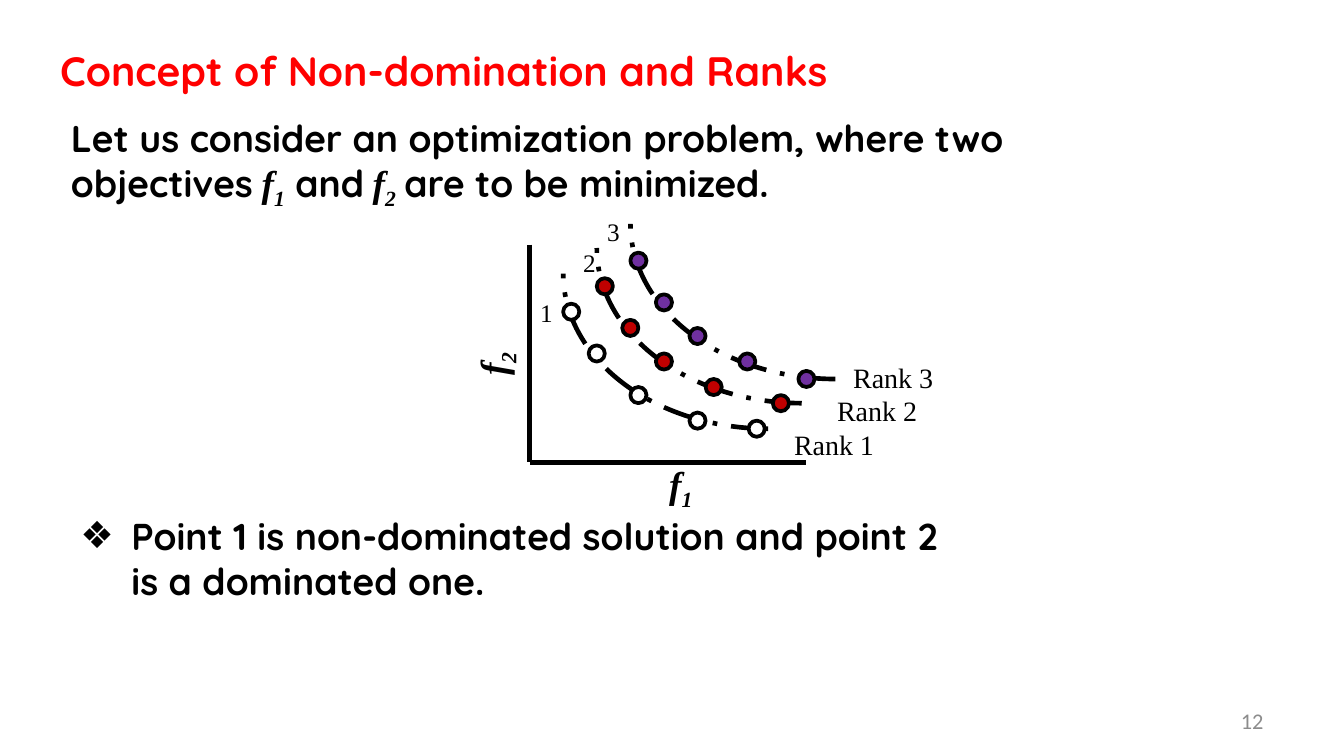
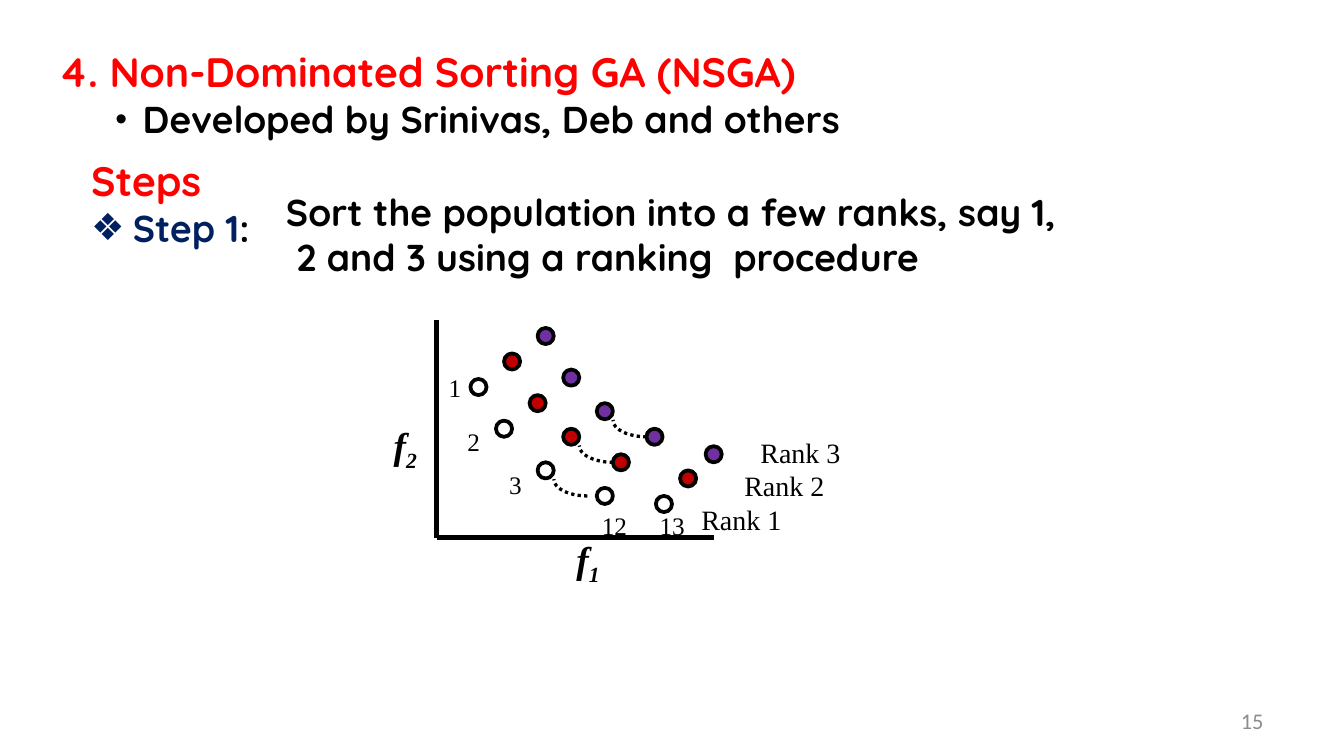
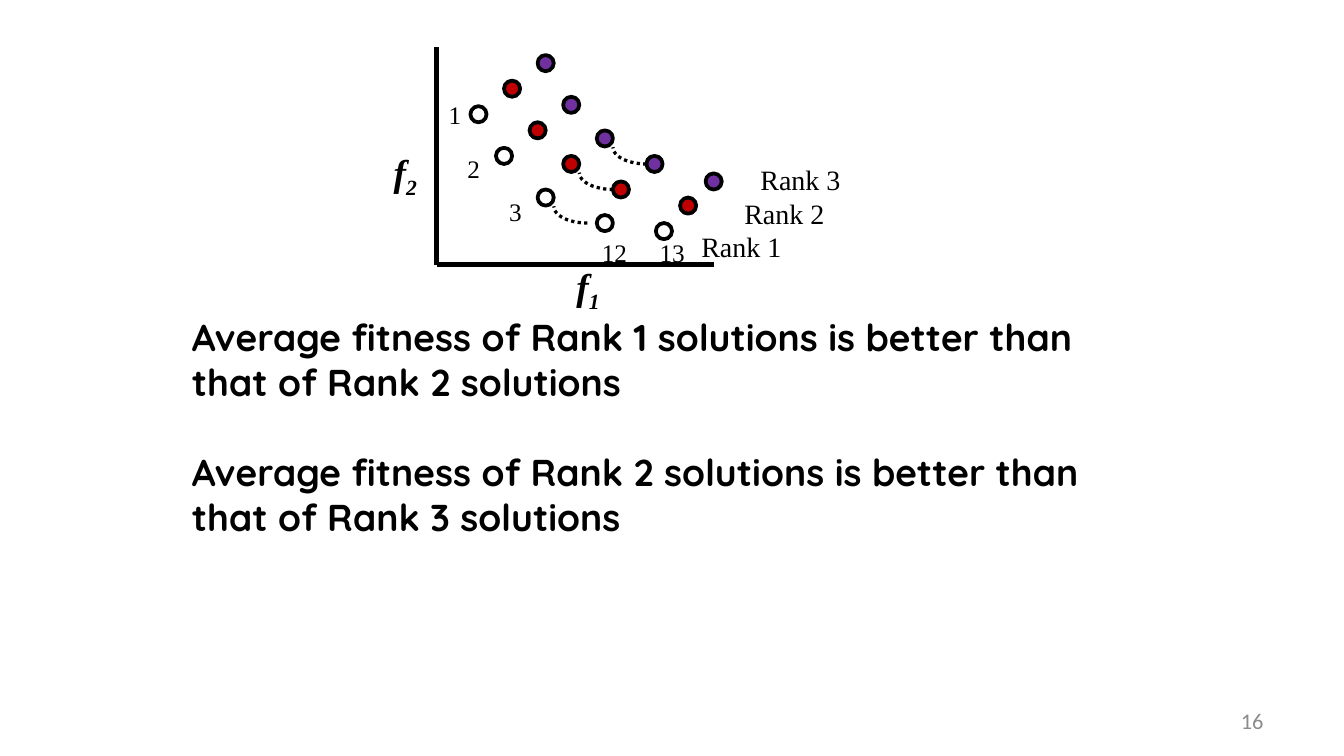
from dataclasses import dataclass, replace

from lxml.etree import SubElement
from pptx import Presentation
from pptx.dml.color import RGBColor
from pptx.enum.dml import MSO_LINE
from pptx.enum.shapes import MSO_CONNECTOR, MSO_SHAPE
from pptx.enum.text import MSO_ANCHOR, MSO_AUTO_SIZE, PP_ALIGN
from pptx.oxml.ns import qn
from pptx.util import Inches, Pt

BLACK = RGBColor(0x00, 0x00, 0x00)
WHITE = RGBColor(0xFF, 0xFF, 0xFF)
RED = RGBColor(0xFF, 0x00, 0x00)
NAVY = RGBColor(0x00, 0x20, 0x60)
GRAY = RGBColor(0x8C, 0x8C, 0x8C)
DARK_RED = RGBColor(0xC0, 0x00, 0x00)
PURPLE = RGBColor(0x70, 0x30, 0xA0)

HEADING_FONT = "Quicksand"
SERIF_FONT = "Times New Roman"
LINE_BREAK = "\v"

# Plot layout, measured from the top of the vertical axis
AXIS_WIDTH, AXIS_HEIGHT, DOT_SIZE = 2.06, 1.62, 0.12
RANKS = [
    (WHITE, [(0.25, 0.44), (0.44, 0.75), (0.75, 1.06), (1.19, 1.25), (1.63, 1.31)]),
    (DARK_RED, [(0.5, 0.25), (0.69, 0.56), (0.94, 0.81), (1.31, 1), (1.81, 1.12)]),
    (PURPLE, [(0.75, 0.06), (0.94, 0.37), (1.19, 0.62), (1.56, 0.81), (2, 0.94)]),
]
RANK_LABELS = [(1.87, 1.31), (2.19, 1.06), (2.31, 0.81)]
FRONT_ARCS = [(0.25, -0.94), (0.5, -1.13), (0.75, -1.31)]
FRONT_NUMBERS = {"1": (-0.02, 0.34), "2": (0.3, -0.03), "3": (0.48, -0.26)}
GAP_ARCS = [(0.87, 1.06), (1.06, 0.81), (1.31, 0.62)]
POINT_NUMBERS = {"1": (-0.01, 0.34), "2": (0.13, 0.74), "3": (0.44, 1.06),
                 "12": (1.13, 1.37), "13": (1.56, 1.37)}


@dataclass
class Span:
    text: str
    size: float = 20
    color: RGBColor = BLACK
    font: str = HEADING_FONT
    bold: bool = True
    italic: bool = False
    subscript: bool = False


def title(text):
    return Span(text, 22, RED)


def serif(text, size=18, bold=False):
    return Span(text, size, font=SERIF_FONT, bold=bold)


def objective(number):
    letter = Span("f", font=SERIF_FONT, italic=True)
    return [letter, replace(letter, text=number, subscript=True)]


# Text
def add_spans(para, spans):
    for span in spans:
        if span == LINE_BREAK:
            para.add_line_break()
            continue
        run = para.add_run()
        run.text = span.text
        run.font.name = span.font
        run.font.size = Pt(span.size)
        run.font.bold = span.bold
        run.font.italic = span.italic
        run.font.color.rgb = span.color
        if span.subscript:
            run._r.get_or_add_rPr().set("baseline", "-25000")


def set_bullet(para, mark, indent, hanging):
    properties = para._p.get_or_add_pPr()
    properties.set("marL", str(Inches(indent)))
    properties.set("indent", str(-Inches(hanging)))
    SubElement(properties, qn("a:buFont")).set("typeface", "Arial")
    SubElement(properties, qn("a:buChar")).set("char", mark)


def add_text(page, left, top, width, height, *paragraphs, wrap=False):
    box = page.shapes.add_textbox(Inches(left), Inches(top), Inches(width), Inches(height))
    frame = box.text_frame
    frame.word_wrap = wrap
    frame.auto_size = MSO_AUTO_SIZE.NONE if wrap else MSO_AUTO_SIZE.SHAPE_TO_FIT_TEXT
    for index, spans in enumerate(paragraphs):
        para = frame.add_paragraph() if index else frame.paragraphs[0]
        add_spans(para, spans)
    return box


def add_page_number(page, number):
    box = add_text(page, 7.17, 5.21, 2.33, 0.3,
                   [Span(number, 12, GRAY, "Calibri", bold=False)], wrap=True)
    box.text_frame.vertical_anchor = MSO_ANCHOR.MIDDLE
    box.text_frame.paragraphs[0].alignment = PP_ALIGN.RIGHT


# Plot parts
def add_axis(page, start_x, start_y, end_x, end_y):
    axis = page.shapes.add_connector(MSO_CONNECTOR.STRAIGHT, Inches(start_x), Inches(start_y),
                                     Inches(end_x), Inches(end_y))
    axis.line.color.rgb = BLACK
    axis.line.width = Pt(2.5)
    SubElement(axis._element.spPr, qn("a:effectLst"))


def add_outlined(page, kind, left, top, width, height, line_width):
    shape = page.shapes.add_shape(kind, Inches(left), Inches(top), Inches(width), Inches(height))
    shape.shadow.inherit = False
    shape.line.color.rgb = BLACK
    shape.line.width = Pt(line_width)
    return shape


def add_arc(page, left, top, width, height, line_width, dash):
    arc = add_outlined(page, MSO_SHAPE.ARC, left, top, width, height, line_width)
    arc.fill.background()
    arc.line.dash_style = dash
    arc.rotation = 180


def add_dot(page, left, top, color):
    dot = add_outlined(page, MSO_SHAPE.FLOWCHART_CONNECTOR, left, top, DOT_SIZE, DOT_SIZE, 2)
    dot.fill.solid()
    dot.fill.fore_color.rgb = color


def add_plot(page, left, top, arcs, arc_style, numbers, f2_place):
    bottom = top + AXIS_HEIGHT
    add_axis(page, left, top, left, bottom)
    add_axis(page, left, bottom, left + AXIS_WIDTH, bottom)
    for x, y in arcs:
        add_arc(page, left + x, top + y, *arc_style)
    for color, places in RANKS:
        for x, y in places:
            add_dot(page, left + x, top + y, color)
    for rank, (x, y) in enumerate(RANK_LABELS, start=1):
        add_text(page, left + x, top + y, 0.8, 0.35, [serif(f"Rank {rank}", 15)])
    for number, (x, y) in numbers.items():
        width = 0.3 if len(number) == 1 else 0.39
        add_text(page, left + x, top + y, width, 0.33, [serif(number, 13.5)])
    add_text(page, left + 0.94, top + 1.56, 0.39, 0.44, objective("1"))
    x, y = f2_place
    return add_text(page, left + x, top + y, 0.39, 0.44, objective("2"))


def add_sorting_plot(page, top):
    add_plot(page, 3.25, top, GAP_ARCS, (0.5, 0.25, 1.75, MSO_LINE.ROUND_DOT),
             POINT_NUMBERS, (-0.42, 0.71))


# Slides
def add_concept_slide(page):
    add_text(page, 0.35, 0.29, 6.07, 0.47, [title("Concept of Non-domination and Ranks")])
    add_text(page, 0.43, 0.81, 7.24, 0.77, [
        Span("Let us consider an optimization problem, where two objectives"), serif(" "),
        *objective("1"), Span(" and"), serif(" "), *objective("2"), serif(" "),
        Span("are to be minimized.")], wrap=True)
    f2_label = add_plot(page, 3.94, 1.82, FRONT_ARCS,
                        (3.05, 2.31, 2.5, MSO_LINE.LONG_DASH_DOT), FRONT_NUMBERS, (-0.47, 0.66))
    f2_label.rotation = 270
    box = add_text(page, 0.5, 3.77, 6.69, 0.77, [
        Span("Point 1 is non-dominated solution and point 2 is a dominated one.")], wrap=True)
    set_bullet(box.text_frame.paragraphs[0], "❖", 0.38, 0.38)
    add_page_number(page, "12")


def add_nsga_slide(page):
    box = add_text(page, 0.34, 0.3, 6.24, 0.81,
                   [title("4. Non-Dominated Sorting GA (NSGA)")],
                   [serif(" ", bold=True), Span("Developed by Srinivas, Deb and others")])
    set_bullet(box.text_frame.paragraphs[1], "•", 0.56, 0.14)
    box = add_text(page, 0.58, 1.11, 1.44, 0.81,
                   [title("Steps")], [Span("Step 1", color=NAVY), Span(":")])
    set_bullet(box.text_frame.paragraphs[1], "❖", 0.31, 0.31)
    add_text(page, 2.03, 1.36, 5.94, 3.2, [
        Span("Sort the population into a few ranks, say 1,"), LINE_BREAK,
        Span(" 2 and 3 using a ranking  procedure")], wrap=True)
    add_sorting_plot(page, 2.38)
    add_page_number(page, "15")


def add_fitness_slide(page):
    sentences = [[Span(f"Average fitness of Rank {rank} solutions is better than "
                       f"that of Rank {rank + 1} solutions")] for rank in (1, 2)]
    box = add_text(page, 1.33, 2.29, 7.33, 1.79, *sentences, wrap=True)
    box.text_frame.paragraphs[1].space_before = Pt(24)
    add_sorting_plot(page, 0.35)
    add_page_number(page, "16")


def main():
    deck = Presentation()
    # Widescreen, 16 to 9
    deck.slide_width = Inches(10)
    deck.slide_height = deck.slide_width * 9 // 16
    for build in (add_concept_slide, add_nsga_slide, add_fitness_slide):
        build(deck.slides.add_slide(deck.slide_layouts[6]))
    deck.save("out.pptx")


main()
